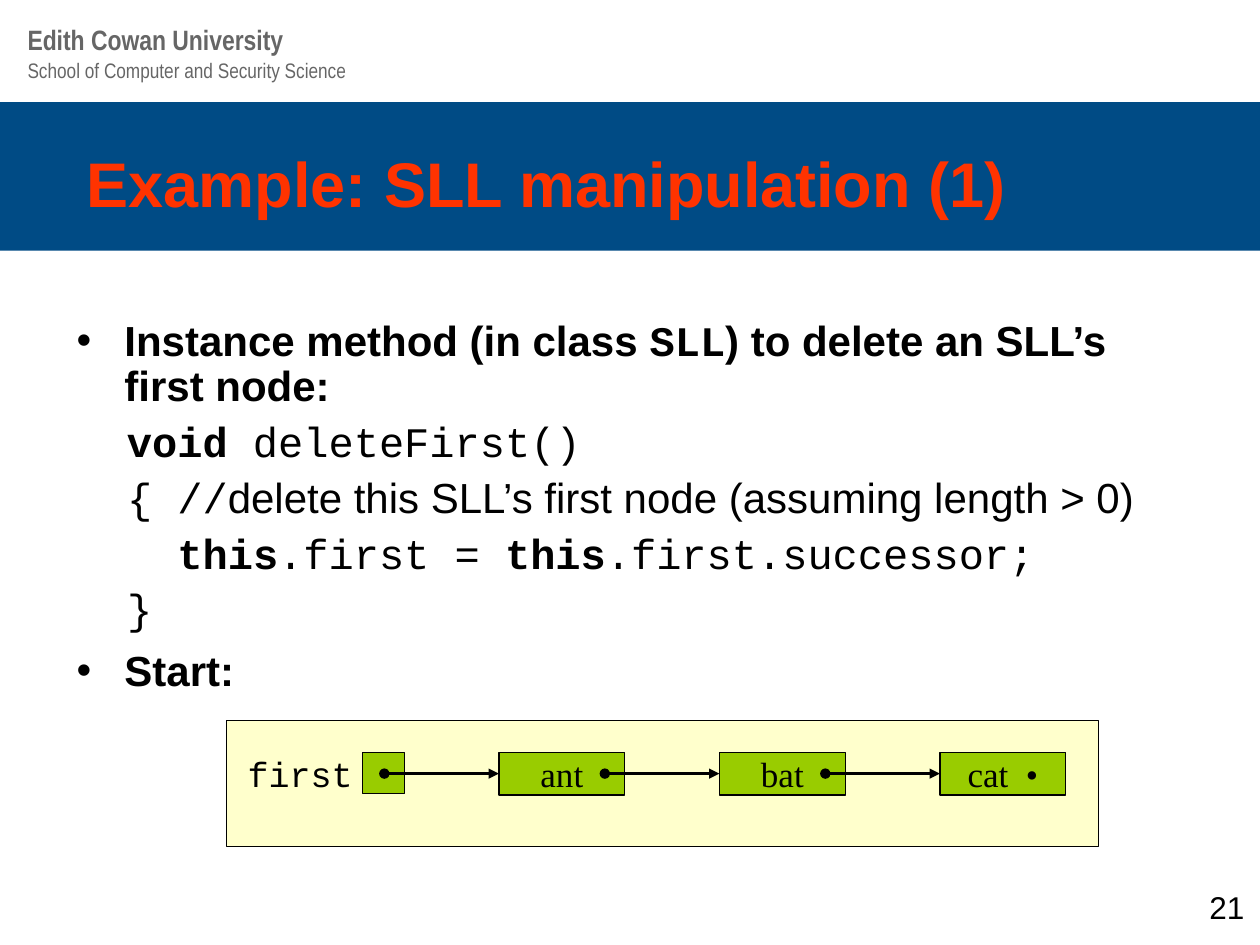
from pptx import Presentation
from pptx.dml.color import RGBColor
from pptx.enum.shapes import MSO_CONNECTOR as Line, MSO_SHAPE as Shape
from pptx.enum.text import MSO_ANCHOR as Anchor, PP_ALIGN as Align
from pptx.oxml import parse_xml
from pptx.oxml.ns import nsdecls
from pptx.util import Inches, Pt

SANS, NARROW, MONO, SERIF = "Arial", "Arial Narrow", "Courier New", "Times New Roman"
BLACK, BLUE, RED, GREY = "000000", "004B85", "FF3300", "666666"
CREAM, GREEN = "FFFFCC", "99CC00"


def color(value):
    return RGBColor.from_string(value)


def element(tag, content=""):
    """Make a DrawingML element from its tag with attributes and its content."""
    return parse_xml(f"<a:{tag} {nsdecls('a')}>{content}</a:{tag.split()[0]}>")


def apply(target, values):
    for name, value in values.items():
        setattr(target, name, value)


class SlideBuilder:
    """Holds the text style and the slide being drawn."""

    style = {"name": SANS, "size": Pt(24), "bold": False}

    def __init__(self, deck):
        self.page = deck.slides.add_slide(deck.slide_layouts[6])

    def span(self, para, text, ink=BLACK, **values):
        span = para.add_run()
        span.text = text
        apply(span.font, {**self.style, **values})
        span.font.color.rgb = color(ink)

    def frame(self, box, inset=(0.1, 0.05), anchor=Anchor.TOP):
        side, edge = map(Inches, inset)
        apply(box.text_frame, {
            "word_wrap": True, "vertical_anchor": anchor,
            "margin_left": side, "margin_right": side,
            "margin_top": edge, "margin_bottom": edge})
        return box.text_frame

    def text(self, place, text, align=Align.LEFT, inset=(0.1, 0.05),
             anchor=Anchor.TOP, **values):
        box = self.page.shapes.add_textbox(*map(Inches, place))
        para = self.frame(box, inset, anchor).paragraphs[0]
        para.alignment = align
        self.span(para, text, **values)

    def rect(self, place, fill, outline=None):
        shape = self.page.shapes.add_shape(Shape.RECTANGLE, *map(Inches, place))
        shape.shadow.inherit = False
        shape.fill.solid()
        shape.fill.fore_color.rgb = color(fill)
        if outline:
            shape.line.color.rgb = color(outline)
            shape.line.width = Pt(0.75)
        else:
            shape.line.fill.background()
        return shape

    def node(self, place, label):
        shape = self.rect(place, GREEN, BLACK)
        para = self.frame(shape, (0, 0), Anchor.MIDDLE).paragraphs[0]
        para.alignment = Align.CENTER
        self.span(para, label, name=SERIF, size=Pt(20))

    def link(self, start, end, y):
        """Draw a pointer with a dot at its start and an arrowhead at its end."""
        arrow = self.page.shapes.add_connector(
            Line.STRAIGHT, Inches(start), Inches(y), Inches(end), Inches(y))
        arrow.line.color.rgb = color(BLACK)
        arrow.line.width = Pt(1.5)
        outline = arrow.line._get_or_add_ln()
        outline.append(element('headEnd type="oval"'))
        outline.append(element('tailEnd type="triangle"'))
        arrow._element.spPr.append(element("effectLst"))

    def body(self, place, rows):
        """Write rows of (bulleted, space before in points, spans)."""
        box = self.page.shapes.add_textbox(*map(Inches, place))
        frame = self.frame(box)
        for index, (bulleted, before, spans) in enumerate(rows):
            para = frame.add_paragraph() if index else frame.paragraphs[0]
            apply(para, {"line_spacing": 0.9, "space_before": Pt(before)})
            layout = para._p.get_or_add_pPr()
            layout.set("marL", str(Inches(0.38)))
            layout.set("indent", str(Inches(-0.38)))
            if bulleted:
                layout.append(element(f'buFont typeface="{SANS}"'))
                layout.append(element('buChar char="•"'))
            else:
                layout.append(element("buNone"))
            stops = (Inches(round(5 * step / 12, 2)) for step in range(2, 7))
            tabs = "".join(f'<a:tab pos="{stop}" algn="l"/>' for stop in stops)
            layout.append(element("tabLst", tabs))
            for text, name, bold in spans:
                self.span(para, text, name=name, bold=bold)


def main():
    deck = Presentation()
    deck.slide_width, deck.slide_height = Inches(10), Inches(7.5)
    slide = SlideBuilder(deck)

    slide.rect((0, 0.81, 10, 1.18), BLUE)
    slide.text((0.12, 0.41, 5.89, 0.3), "School of Computer and Security Science",
               name=NARROW, size=Pt(12), ink=GREY)
    slide.text((0.12, 0.13, 5.89, 0.37), "Edith Cowan University",
               name=NARROW, size=Pt(16), bold=True, ink=GREY)
    slide.text((0.59, 1.07, 8.5, 0.75), "Example: SLL manipulation (1)",
               anchor=Anchor.MIDDLE, size=Pt(36), bold=True, ink=RED)

    slide.body((0.51, 2.49, 9.07, 2.67), [
        (True, 0, [("Instance method (in class ", SANS, True), ("SLL", MONO, True),
                   (") to delete an SLL’s first node:", SANS, True)]),
        (False, 6, [("  ", MONO, False), ("void ", MONO, True),
                    ("deleteFirst()", MONO, False)]),
        (False, 6, [("  { //", MONO, False),
                    ("delete this SLL’s first node (assuming length > 0)", SANS, False)]),
        (False, 6, [("    ", MONO, False), ("this", MONO, True),
                    (".first = ", MONO, False), ("this", MONO, True),
                    (".first.successor;", MONO, False)]),
        (False, 6, [("  }", MONO, False)]),
        (True, 9, [("Start:", SANS, True)]),
    ])
    slide.text((9.5, 7, 0.5, 0.33), "21", size=Pt(18))

    top, middle, first_node, pitch, reach = 5.97, 6.14, 3.96, 1.75, 0.91
    slide.rect((1.8, 5.72, 6.92, 1), CREAM, BLACK)
    slide.text((1.88, top, 0.92, 0.33), "first", align=Align.RIGHT,
               inset=(0, 0), name=MONO, size=Pt(20))
    slide.rect((2.88, top, 0.33, 0.33), GREEN, BLACK)
    lefts = [first_node + pitch * index for index in range(3)]
    for left, label in zip(lefts, ("ant", "bat", "cat  •")):
        slide.node((left, top, 1, 0.34), label)
    for left in lefts:
        slide.link(left - reach, left, middle)

    deck.save("out.pptx")


if __name__ == "__main__":
    main()
